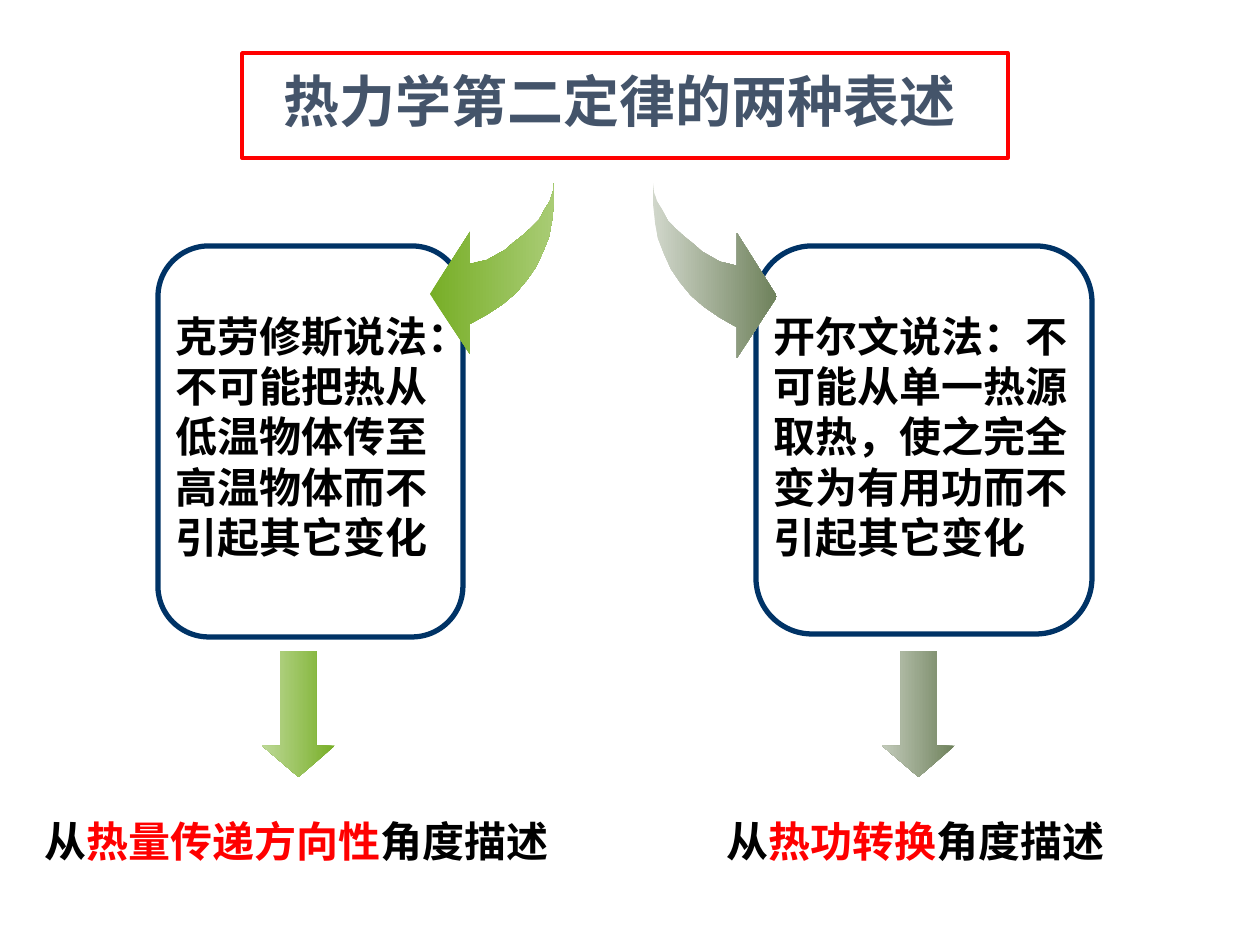
from lxml import etree
from pptx import Presentation
from pptx.dml.color import RGBColor
from pptx.enum.shapes import MSO_SHAPE
from pptx.enum.text import MSO_ANCHOR, MSO_AUTO_SIZE, PP_ALIGN
from pptx.oxml.ns import qn
from pptx.util import Pt

RECTANGLE, ROUNDED = MSO_SHAPE.RECTANGLE, MSO_SHAPE.ROUNDED_RECTANGLE
UP_ARROW = MSO_SHAPE.UP_ARROW
TOP, MIDDLE = MSO_ANCHOR.TOP, MSO_ANCHOR.MIDDLE
NO_FIT = MSO_AUTO_SIZE.NONE
LEFT, CENTER = PP_ALIGN.LEFT, PP_ALIGN.CENTER

BLACK = RGBColor(0x00, 0x00, 0x00)
RED = RGBColor(0xFF, 0x00, 0x00)
NAVY = RGBColor(0x00, 0x33, 0x66)
SLATE = RGBColor(0x44, 0x54, 0x6A)
GREEN = RGBColor(0x77, 0xAE, 0x26)
LIGHT_GREEN = RGBColor(0xBE, 0xD9, 0x98)
SOFT_GREEN = RGBColor(0xA9, 0xCC, 0x75)
OLIVE = RGBColor(0x6E, 0x81, 0x5B)
LIGHT_OLIVE = RGBColor(0xC3, 0xCB, 0xBB)
PALE_OLIVE = RGBColor(0xD1, 0xD7, 0xCB)

CJK_FONT = "Noto Sans CJK SC"
LATIN_FONT = "Calibri"
EMU_PER_PX = 914400 / 126

CURVED_ARROW = [
    (0, 0), (0, 20), (2, 38), (5, 54), (11, 69), (18, 84), (27, 97),
    (38, 110), (51, 121), (66, 131), (84, 141), (84, 171), (124, 111),
    (84, 49), (84, 81), (76, 79), (67, 77), (58, 72), (49, 67), (41, 60),
    (32, 53), (23, 45), (15, 37), (9, 26), (4, 18), (1, 9),
]
CURVED_ARROW_HEIGHT = 171


def emu(px):
    return round(px * EMU_PER_PX)


class SlideBuilder:
    def __init__(self, slide):
        self.slide = slide

    def fill_text(self, box, runs, font_name, size=24, align=LEFT, anchor=TOP):
        frame = box.text_frame
        layout = {"word_wrap": True, "auto_size": NO_FIT, "vertical_anchor": anchor}
        for name, value in layout.items():
            setattr(frame, name, value)
        para = frame.paragraphs[0]
        para.alignment = align
        for text, color in runs:
            span = para.add_run()
            span.text = text
            style = {"name": font_name, "size": Pt(size), "bold": True}
            for name, value in style.items():
                setattr(span.font, name, value)
            span.font.color.rgb = color
            east_asian = etree.SubElement(span.font._element, qn("a:ea"))
            east_asian.set("typeface", CJK_FONT)

    def title(self, bounds, text):
        box = self.slide.shapes.title
        for name, px in zip(("left", "top", "width", "height"), bounds):
            setattr(box, name, emu(px))
        self.fill_text(box, [(text, SLATE)], CJK_FONT, 32, CENTER, MIDDLE)

    def text(self, bounds, runs, font_name):
        box = self.slide.shapes.add_textbox(*map(emu, bounds))
        self.fill_text(box, runs, font_name)

    def outline(self, kind, bounds, color, width):
        shape = self.slide.shapes.add_shape(kind, *map(emu, bounds))
        shape.shadow.inherit = False
        shape.fill.background()
        shape.line.color.rgb = color
        shape.line.width = Pt(width)

    def shade(self, shape, colors):
        shape.shadow.inherit = False
        shape.line.fill.background()
        shape.fill.gradient()
        shape.fill.gradient_angle = 0
        for stop, color in zip(shape.fill.gradient_stops, colors):
            stop.color.rgb = color

    def down_arrow(self, bounds, colors):
        arrow = self.slide.shapes.add_shape(UP_ARROW, *map(emu, bounds))
        arrow.rotation = 180
        arrow.adjustments[0] = 0.5
        arrow.adjustments[1] = 0.43
        self.shade(arrow, colors)

    def curved_arrow(self, left, top, direction, height, colors):
        stretch = height / CURVED_ARROW_HEIGHT
        points = [
            (emu(left + direction * x), emu(top + y * stretch))
            for x, y in CURVED_ARROW
        ]
        builder = self.slide.shapes.build_freeform(*points[0], scale=1.0)
        builder.add_line_segments(points[1:], close=True)
        self.shade(builder.convert_to_shape(), colors)


def main():
    deck = Presentation()
    deck.slide_width, deck.slide_height = emu(1260), emu(945)
    page = SlideBuilder(deck.slides.add_slide(deck.slide_layouts[5]))

    page.title((53, 21, 1134, 158), "热力学第二定律的两种表述")
    page.outline(RECTANGLE, (242, 53, 766, 105), RED, 2)

    page.outline(ROUNDED, (756, 246, 336, 388), NAVY, 3)
    page.outline(ROUNDED, (158, 246, 305, 391), NAVY, 3)
    page.curved_arrow(554, 183, -1, 171, (GREEN, SOFT_GREEN))
    page.curved_arrow(653, 183, 1, 175, (PALE_OLIVE, OLIVE))

    statements = [
        ((163, 304, 294, 318), "克劳修斯说法：不可能把热从低温物体传至高温物体而不引起其它变化"),
        ((761, 304, 325, 267), "开尔文说法：不可能从单一热源取热，使之完全变为有用功而不引起其它变化"),
    ]
    for bounds, statement in statements:
        page.text(bounds, [(statement, BLACK)], CJK_FONT)

    viewpoints = [
        (262, (GREEN, LIGHT_GREEN), (32, 809, 557, 63), "热量传递方向性"),
        (882, (OLIVE, LIGHT_OLIVE), (714, 809, 546, 63), "热功转换"),
    ]
    for arrow_left, colors, bounds, focus in viewpoints:
        page.down_arrow((arrow_left, 651, 73, 126), colors)
        runs = [("从", BLACK), (focus, RED), ("角度描述", BLACK)]
        page.text(bounds, runs, LATIN_FONT)

    deck.save("out.pptx")


if __name__ == "__main__":
    main()
